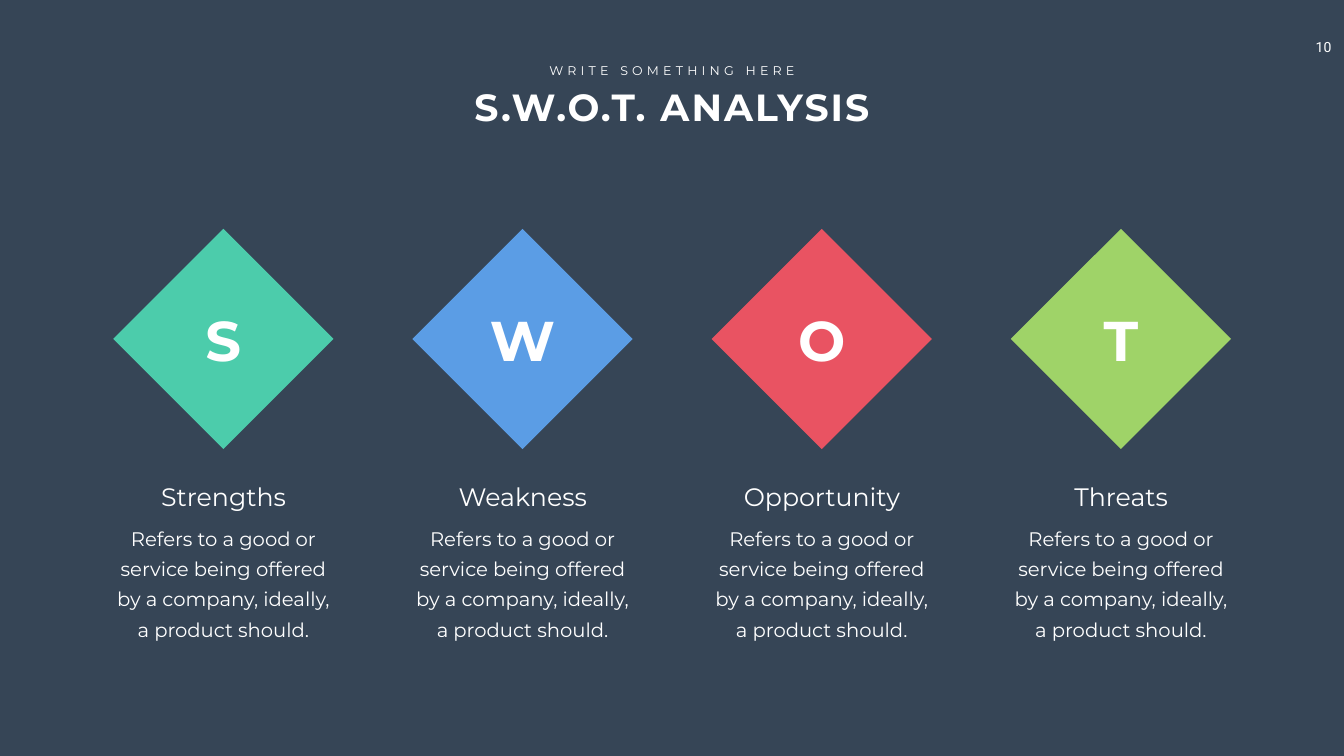
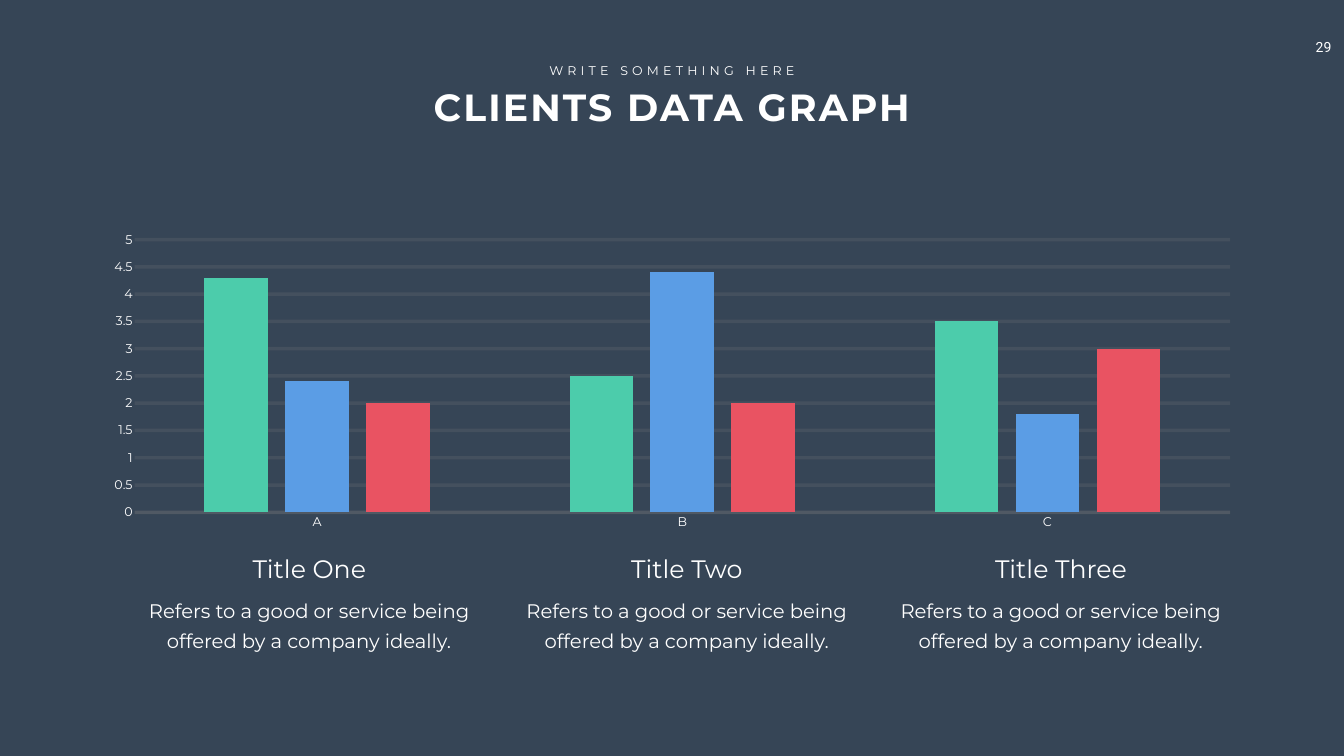
"""Build a SWOT slide and a client chart slide in one dark style."""
from lxml import etree
from pptx import Presentation
from pptx import util as u
from pptx.chart.data import CategoryChartData
from pptx.dml.color import RGBColor
from pptx.enum import chart as ch, shapes, text
from pptx.oxml.ns import qn

WIDTH, HEIGHT = 26.66, 15
BACK, WHITE, GRAY = "364556", "FFFFFF", "808080"
GREEN, BLUE, RED, LIME = "4CCCAB", "5B9DE5", "E95362", "9FD368"
FONT = "Montserrat"
INSET = (0.1, 0.05, 0.1, 0.05)
WIDE = (0.24, 0.12, 0.24, 0.12)


def paint(fill, color):
    """Give a fill one solid hex colour."""
    fill.solid()
    fill.fore_color.rgb = RGBColor.from_string(color)


def style(font, size, face=FONT, bold=False):
    """Set white type in one face and size."""
    font.size, font.name, font.bold = u.Pt(size), face, bold
    paint(font.fill, WHITE)


def label(slide, words, box, size, face=FONT, bold=False, track=0,
          inset=INSET, lead=None, wrap=True):
    """Add a centred text box; track is letter spacing in points."""
    frame = slide.shapes.add_textbox(*map(u.Inches, box)).text_frame
    frame.word_wrap = wrap
    (frame.margin_left, frame.margin_top,
     frame.margin_right, frame.margin_bottom) = map(u.Inches, inset)
    frame.text = words
    para = frame.paragraphs[0]
    para.alignment = text.PP_ALIGN.CENTER
    if lead:
        para.line_spacing = u.Pt(lead)
    for run in para.runs:
        style(run.font, size, face, bold)
        if track:
            run.font._element.set("spc", str(track * 100))


def start(deck, title, number):
    """Add a slide with its background, heading and number."""
    slide = deck.slides.add_slide(deck.slide_layouts[6])
    paint(slide.background.fill, BACK)
    label(slide, number, (25.88, 0.67, 0.91, 0.54), 20, "Roboto",
          inset=(0.2, 0.1, 0.36, 0.1), wrap=False)
    label(slide, title, (7.37, 1.61, 11.92, 1.01), 54, bold=True, track=3)
    label(slide, "WRITE SOMETHING HERE", (10.74, 1.2, 5.18, 0.4), 18,
          track=6, wrap=False)
    return slide


def diamond(slide, letter, mid, color):
    """Add a square turned on its corner with a large letter."""
    side = 3.09
    box = map(u.Inches, (mid - side / 2, 5.18, side, side))
    shape = slide.shapes.add_shape(shapes.MSO_SHAPE.RECTANGLE, *box)
    shape.rotation = 45
    shape.shadow.inherit = False
    paint(shape.fill, color)
    shape.line.fill.background()
    label(slide, letter, (mid - 1.49, 6.01, 2.98, 1.45), 80, bold=True, track=3)


def blurb(slide, head, body, mid, top, wide, high):
    """Add a heading with a paragraph below it, centred on mid."""
    label(slide, body, (mid - wide / 2, top + 0.71, wide, high), 28,
          inset=WIDE, lead=43)
    label(slide, head, (mid - 2.4, top, 4.81, 0.71), 36)


def rule(line):
    """Draw a chart line as a faint thick gray rule."""
    line.width = u.Pt(5)
    paint(line.fill, GRAY)
    tint = line._ln.find(".//" + qn("a:srgbClr"))
    etree.SubElement(tint, qn("a:alpha")).set("val", "20000")


def graph(slide, cats, series):
    """Add a clustered column chart from (values, colour) pairs."""
    data = CategoryChartData()
    data.categories = cats
    for count, (vals, _) in enumerate(series, 1):
        data.add_series(f"Series {count}", vals)
    box = map(u.Inches, (1.81, 4.48, 23.05, 6.15))
    chart = slide.shapes.add_chart(
        ch.XL_CHART_TYPE.COLUMN_CLUSTERED, *box, data).chart
    chart.has_legend = chart.has_title = False
    style(chart.font, 18)
    plot = chart.plots[0]
    plot.gap_width, plot.overlap, plot.vary_by_categories = 219, -27, False
    for item, (_, color) in zip(plot.series, series):
        paint(item.format.fill, color)
        item.invert_if_negative = False
    for axis in (chart.category_axis, chart.value_axis):
        axis.major_tick_mark = axis.minor_tick_mark = ch.XL_TICK_MARK.NONE
        style(axis.tick_labels.font, 18)
    rule(chart.category_axis.format.line)
    scale = chart.value_axis
    scale.minimum_scale, scale.maximum_scale, scale.major_unit = 0, 5, 0.5
    scale.format.line.fill.background()
    scale.has_major_gridlines = True
    rule(scale.major_gridlines.format.line)


def swot(deck):
    """Build the four-part SWOT slide."""
    slide = start(deck, "S.W.O.T. ANALYSIS", "10")
    body = ("Refers to a good or service being offered by a company, "
            "ideally, a product should.")
    parts = [("Strengths", "S", GREEN), ("Weakness", "W", BLUE),
             ("Opportunity", "O", RED), ("Threats", "T", LIME)]
    for col, (head, letter, color) in enumerate(parts):
        mid = 4.43 + 5.935 * col
        diamond(slide, letter, mid, color)
        blurb(slide, head, body, mid, 9.5, 4.81, 2.6)


def clients(deck):
    """Build the client chart slide with three captions."""
    slide = start(deck, "CLIENTS DATA GRAPH", "29")
    graph(slide, ["A", "B", "C"], [
        ((4.3, 2.5, 3.5), GREEN),
        ((2.4, 4.4, 1.8), BLUE),
        ((2, 2, 3), RED)])
    body = "Refers to a good or service being offered by a company ideally."
    for name, mid in (("One", 6.13), ("Two", 13.62), ("Three", 21.04)):
        blurb(slide, f"Title {name}", body, mid, 10.93, 7.34, 1.39)


def main():
    """Create and save the deck."""
    deck = Presentation()
    deck.slide_width, deck.slide_height = u.Inches(WIDTH), u.Inches(HEIGHT)
    swot(deck)
    clients(deck)
    deck.save("out.pptx")


if __name__ == "__main__":
    main()
